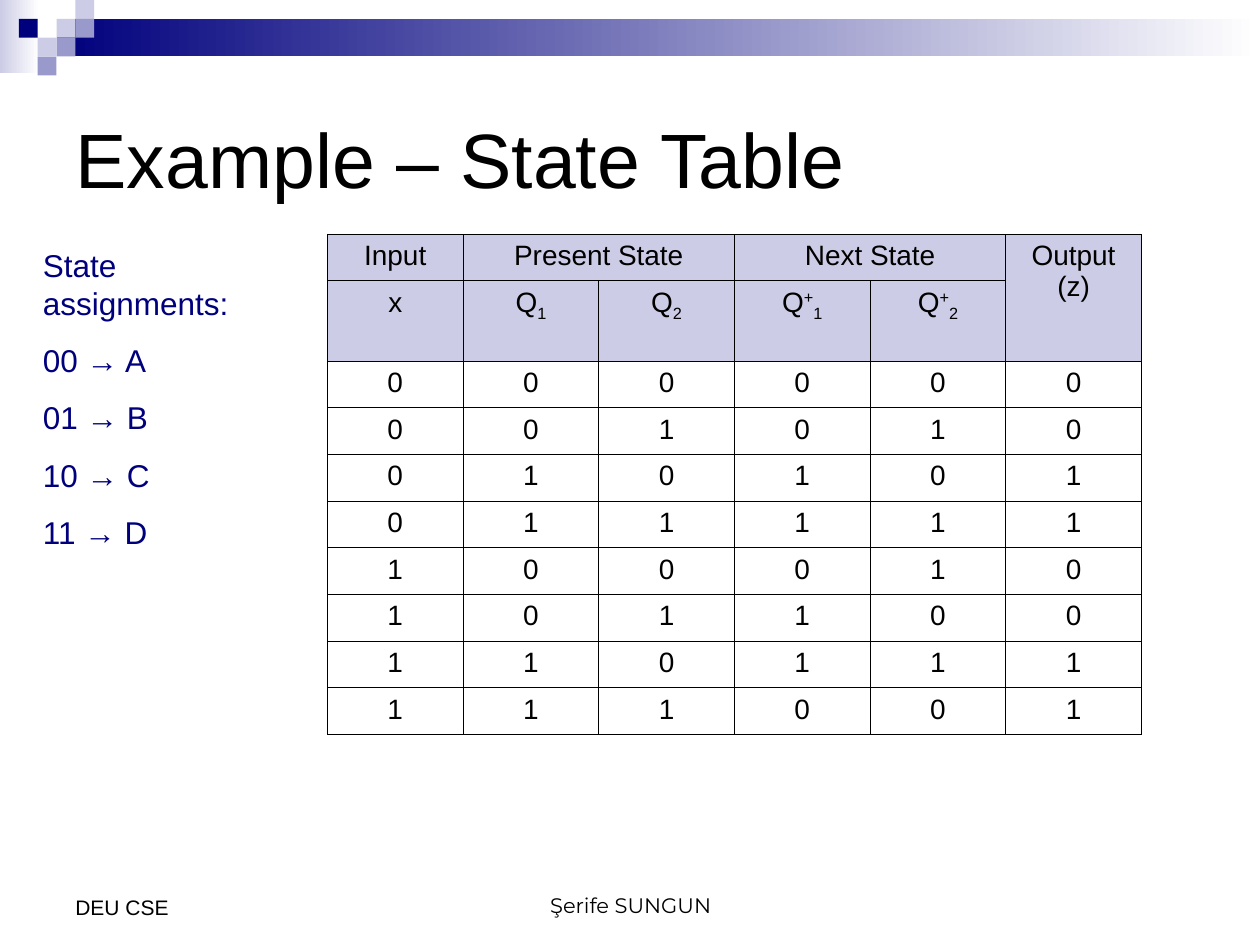
import pptx
import pptx.dml.color
import pptx.enum.shapes
import pptx.enum.text
import pptx.oxml
import pptx.oxml.ns
import pptx.util

Cm = pptx.util.Cm
Pt = pptx.util.Pt
ALIGN = pptx.enum.text.PP_ALIGN
ANCHOR = pptx.enum.text.MSO_ANCHOR

COLOURS = {"black": "000000", "white": "FFFFFF", "navy": "00007D",
           "lavender": "CCCCE6", "violet": "9999CC"}

TITLE = "Example – State Table"
ASSIGNMENTS = ["State assignments:", "00 → A", "01 → B", "10 → C", "11 → D"]

# Each header cell lists its runs as (text, baseline shift in percent).
SUB, SUPER = -25, 30
HEADER = [
    [[("Input", 0)], [("Present State", 0)], [], [("Next State", 0)], [],
     [("Output (z)", 0)]],
    [[("x", 0)], [("Q", 0), ("1", SUB)], [("Q", 0), ("2", SUB)],
     [("Q", 0), ("+", SUPER), ("1", SUB)],
     [("Q", 0), ("+", SUPER), ("2", SUB)], []],
]
STATES = ["000000", "001010", "010101", "011111",
          "100010", "101100", "110111", "111001"]
MERGES = [((0, 1), (0, 2)), ((0, 3), (0, 4)), ((0, 5), (1, 5))]

# (text, font, alignment, left, top, width, height) in cm
FOOTERS = [
    ("Şerife SUNGUN", "Montserrat", ALIGN.CENTER, 8.69, 17.35, 8.05, 1.27),
    ("DEU CSE", "Arial", ALIGN.LEFT, 1.27, 17.35, 5.92, 1.32),
]

# (left, top, width, height) in cm, first gradient colour
BANDS = [((0, 0, 0.79, 1.47), "lavender"), ((1.14, 0.38, 24.26, 0.76), "navy")]
SQUARE = 0.38
# (column, row) on the square grid, colour
SQUARES = [((3, 1), "lavender"), ((4, 0), "lavender"), ((4, 1), "violet"),
           ((2, 2), "lavender"), ((1, 1), "navy"), ((3, 2), "violet"),
           ((2, 3), "violet")]


def rgb(name):
    return pptx.dml.color.RGBColor.from_string(COLOURS[name])


def place(shape, left, top, width, height):
    shape.left, shape.top = Cm(left), Cm(top)
    shape.width, shape.height = Cm(width), Cm(height)


def style(paragraph, size, colour="black", face="Arial", align=ALIGN.LEFT):
    paragraph.alignment = align
    paragraph.font.size = Pt(size)
    paragraph.font.name = face
    paragraph.font.color.rgb = rgb(colour)


def add_rectangle(slide, left, top, width, height):
    rectangle = slide.shapes.add_shape(
        pptx.enum.shapes.MSO_SHAPE.RECTANGLE,
        Cm(left), Cm(top), Cm(width), Cm(height))
    rectangle.shadow.inherit = False
    rectangle.line.fill.background()
    return rectangle


def add_decoration(slide):
    for box, colour in BANDS:
        fill = add_rectangle(slide, *box).fill
        fill.gradient()
        fill.gradient_angle = 0
        for stop, name in zip(fill.gradient_stops, (colour, "white")):
            stop.color.rgb = rgb(name)
    for (column, row), colour in SQUARES:
        square = add_rectangle(slide, column * SQUARE, row * SQUARE,
                               SQUARE, SQUARE)
        square.fill.solid()
        square.fill.fore_color.rgb = rgb(colour)


def add_footers(slide):
    for text, face, align, *box in FOOTERS:
        footer = slide.shapes.add_textbox(*map(Cm, box)).text_frame
        footer.word_wrap = True
        footer.vertical_anchor = ANCHOR.BOTTOM
        footer.text = text
        style(footer.paragraphs[0], 12, face=face, align=align)


def fill_title(title):
    place(title, 1.27, 1.27, 22.86, 3.81)
    title.text_frame.text = TITLE
    title.text_frame.vertical_anchor = ANCHOR.MIDDLE
    style(title.text_frame.paragraphs[0], 44)


def fill_assignments(body):
    place(body, 0.61, 4.83, 5.49, 6.43)
    frame = body.text_frame
    frame.text = "\n".join(ASSIGNMENTS)
    frame.auto_size = pptx.enum.text.MSO_AUTO_SIZE.SHAPE_TO_FIT_TEXT
    for index, paragraph in enumerate(frame.paragraphs):
        properties = paragraph._p.get_or_add_pPr()
        properties.set("marL", "0")
        properties.set("indent", "0")
        properties.append(pptx.oxml.parse_xml(
            f'<a:buNone {pptx.oxml.ns.nsdecls("a")}/>'))
        paragraph.space_before = Pt(11.2 if index else 0)
        style(paragraph, 18, "navy")


def add_borders(cell):
    for side in "LRTB":
        cell._tc.get_or_add_tcPr().append(pptx.oxml.parse_xml(
            f'<a:ln{side} {pptx.oxml.ns.nsdecls("a")} w="{Pt(0.45)}">'
            f'<a:solidFill><a:srgbClr val="{COLOURS["black"]}"/></a:solidFill>'
            f'</a:ln{side}>'))


def add_state_table(slide):
    rows = HEADER + [[[(bit, 0)] for bit in state] for state in STATES]
    heights = [0.94, 1.62] + [0.94] * len(STATES)
    width = 16.41
    table = slide.shapes.add_table(
        len(rows), len(rows[0]), Cm(6.6), Cm(4.72),
        Cm(width), Cm(sum(heights))).table
    table.first_row = table.horz_banding = False
    for column in table.columns:
        column.width = Cm(width / len(rows[0]))
    for row, height in zip(table.rows, heights):
        row.height = Cm(height)
    for first, last in MERGES:
        table.cell(*first).merge(table.cell(*last))

    for r, row in enumerate(rows):
        for c, runs in enumerate(row):
            cell = table.cell(r, c)
            add_borders(cell)
            if r < len(HEADER):
                cell.fill.solid()
                cell.fill.fore_color.rgb = rgb("lavender")
            else:
                cell.fill.background()
            paragraph = cell.text_frame.paragraphs[0]
            style(paragraph, 16, align=ALIGN.CENTER)
            for text, shift in runs:
                run = paragraph.add_run()
                run.text = text
                if shift:
                    run._r.get_or_add_rPr().set("baseline", str(shift * 1000))


def main():
    deck = pptx.Presentation()
    deck.slide_width, deck.slide_height = Cm(25.4), Cm(19.05)
    slide = deck.slides.add_slide(deck.slide_layouts[1])
    add_decoration(slide)
    add_footers(slide)
    fill_title(slide.shapes.title)
    add_state_table(slide)
    fill_assignments(slide.placeholders[1])
    deck.save("out.pptx")


if __name__ == "__main__":
    main()
